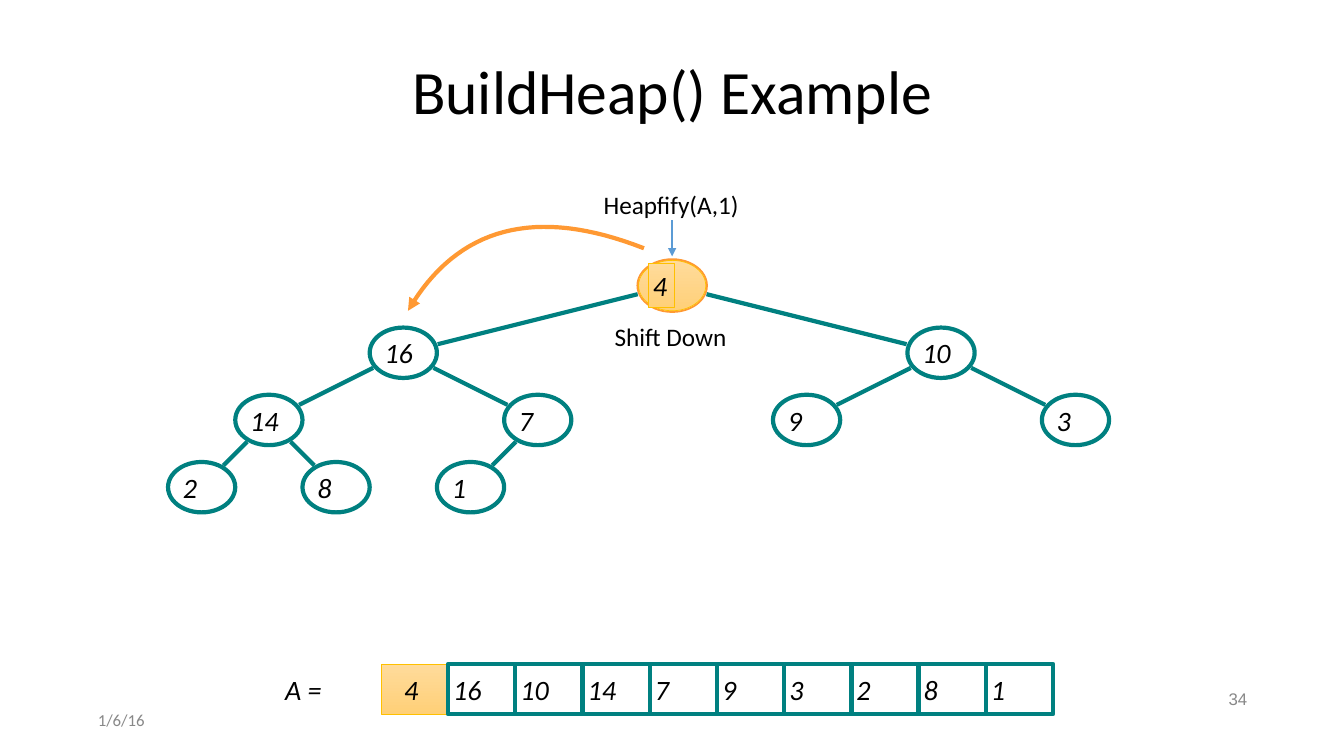
from math import hypot

from lxml.etree import SubElement
from pptx import Presentation
from pptx.dml.color import RGBColor
from pptx.enum.shapes import MSO_CONNECTOR as CONN, MSO_SHAPE as SHAPE
from pptx.enum.text import MSO_ANCHOR as ANCHOR, PP_ALIGN as ALIGN
from pptx.oxml.ns import qn
from pptx.util import Inches, Pt

W, H = 13.33, 7.5
UNIT = 2 / 3
NODE_H = 0.5
EDGE_GAP = 1.08
TEAL, ORANGE, GOLD, BLUE = "008080", "FF9933", "FFC000", "5B9BD5"
WHITE, BLACK, GREY = "FFFFFF", "000000", "888888"
HEAP = [4, 16, 10, 14, 7, 9, 3, 2, 8, 1]


def rgb(value):
    return RGBColor.from_string(value)


def set_line(shape, color, width):
    shape.line.color.rgb = rgb(color)
    shape.line.width = Pt(width)


def set_text(shape, text, size, color=BLACK, font="Calibri", italic=False,
             align=ALIGN.LEFT, anchor=ANCHOR.MIDDLE, wrap=True, left=0.05, spacing=None):
    tf = shape.text_frame
    tf.word_wrap = wrap
    tf.vertical_anchor = anchor
    tf.margin_left = Inches(left)
    tf.margin_right = tf.margin_top = tf.margin_bottom = Inches(0.05)
    p = tf.paragraphs[0]
    p.text = text
    p.alignment = align
    p.line_spacing = spacing
    p.font.size = Pt(size)
    p.font.name = font
    p.font.italic = italic
    p.font.color.rgb = rgb(color)


def add_label(s, box, text, size, **style):
    tb = s.shapes.add_textbox(*map(Inches, box))
    set_text(tb, text, size, **style)


def add_box(s, kind, box, color, width, fill=None):
    sp = s.shapes.add_shape(kind, *map(Inches, box))
    sp.shadow.inherit = False
    if fill:
        sp.fill.solid()
        sp.fill.fore_color.rgb = rgb(fill)
    else:
        sp.fill.background()
    set_line(sp, color, width)
    return sp


def add_highlight(s, kind, box):
    sp = add_box(s, kind, box, GOLD, 0.5)
    sp.fill.gradient()
    sp.fill.gradient_angle = 270
    for stop, color in zip(sp.fill.gradient_stops, ("FFDB9B", "FFD078")):
        stop.color.rgb = rgb(color)
    return sp


def add_line(s, start, end, color, width):
    cn = s.shapes.add_connector(CONN.STRAIGHT, *map(Inches, (*start, *end)))
    set_line(cn, color, width)
    SubElement(cn._element.spPr, qn("a:effectLst"))
    return cn


def add_arrowhead(shape, end):
    SubElement(shape.line._get_or_add_ln(), qn(f"a:{end}"), type="triangle")


def node_center(i, cx, cy):
    level = (i + 1).bit_length() - 1
    count = 2 ** level
    column = i + 1 - count - (count - 1) / 2
    return cx + column * 16 / count * UNIT, cy + level * UNIT


def node_box(center):
    return center[0] - UNIT / 2, center[1] - NODE_H / 2, UNIT, NODE_H


def add_tree(s, cx, cy):
    centers = [node_center(i, cx, cy) for i in range(len(HEAP))]
    for i, (value, center) in enumerate(zip(HEAP, centers)):
        node = add_box(s, SHAPE.OVAL, node_box(center), TEAL if i else ORANGE, 3, WHITE)
        if i:
            set_text(node, str(value), 20, italic=True)
    for i in range(1, len(HEAP)):
        (px, py), (x, y) = centers[(i - 1) // 2], centers[i]
        reach = EDGE_GAP / hypot((x - px) / (UNIT / 2), (y - py) / (NODE_H / 2))
        dx, dy = (x - px) * reach, (y - py) * reach
        add_line(s, (px + dx, py + dy), (x - dx, y - dy), TEAL, 3)
    add_highlight(s, SHAPE.OVAL, node_box(centers[0]))
    key = add_highlight(s, SHAPE.RECTANGLE, (cx - 0.24, cy - 0.22, 0.26, 0.44))
    set_text(key, str(HEAP[0]), 20, italic=True, wrap=False)


def add_array(s, left, top):
    add_label(s, (left - 1, top + 0.04, 0.48, 0.43), "A =", 20, italic=True, wrap=False)
    for i, value in enumerate(HEAP):
        box = left + i * UNIT, top, UNIT, NODE_H
        if i:
            cell = add_box(s, SHAPE.RECTANGLE, box, TEAL, 3)
        else:
            cell = add_highlight(s, SHAPE.RECTANGLE, box)
        set_text(cell, str(value), 20, italic=True, left=0.05 if i else 0.23)


def add_shift_arrow(s, curve, steps=32):
    points = []
    for i in range(steps + 1):
        t = i / steps
        weights = (1 - t) ** 3, 3 * t * (1 - t) ** 2, 3 * t * t * (1 - t), t ** 3
        points.append(tuple(Inches(sum(w * p[axis] for w, p in zip(weights, curve)))
                            for axis in (0, 1)))
    builder = s.shapes.build_freeform(*points[0], scale=1.0)
    builder.add_line_segments(points[1:], close=False)
    sp = builder.convert_to_shape()
    sp.shadow.inherit = False
    sp.fill.background()
    set_line(sp, ORANGE, 3)
    add_arrowhead(sp, "headEnd")


def add_notes_on_root(s, cx, cy):
    style = dict(anchor=ANCHOR.TOP, wrap=False)
    add_label(s, (cx - 0.73, cy - 1, 1.45, 0.41), "Heapfify(A,1)", 18, **style)
    pointer = add_line(s, (cx, cy - 0.65), (cx, cy - 0.29), BLUE, 1)
    add_arrowhead(pointer, "tailEnd")
    add_label(s, (cx - 0.62, cy + 0.3, 1.23, 0.41), "Shift Down", 18, **style)
    offsets = (-2.62, 0.25), (-2.13, -0.59), (-1.35, -0.79), (-0.28, -0.37)
    add_shift_arrow(s, [(cx + dx, cy + dy) for dx, dy in offsets])


def add_title(s, box):
    title = s.shapes.title
    title.left, title.top, title.width, title.height = map(Inches, box)
    set_text(title, "BuildHeap() Example", 44, align=ALIGN.CENTER, spacing=0.9)


def add_footer(s):
    add_label(s, (0.92, 7, 3, 0.29), "1/6/16", 12, color=GREY)
    add_label(s, (9.42, 6.8, 3, 0.29), "34", 12, color=GREY, font="Arial",
              align=ALIGN.RIGHT, spacing=0.9)


def main():
    prs = Presentation()
    prs.slide_width, prs.slide_height = Inches(W), Inches(H)
    s = prs.slides.add_slide(prs.slide_layouts[5])
    root = 10 * UNIT, 4.25 * UNIT
    add_title(s, (0.92, 0.4, 11.5, 1.07))
    add_tree(s, *root)
    add_notes_on_root(s, *root)
    add_array(s, 17 / 3 * UNIT, 9.88 * UNIT)
    add_footer(s)
    prs.save("out.pptx")


if __name__ == "__main__":
    main()
